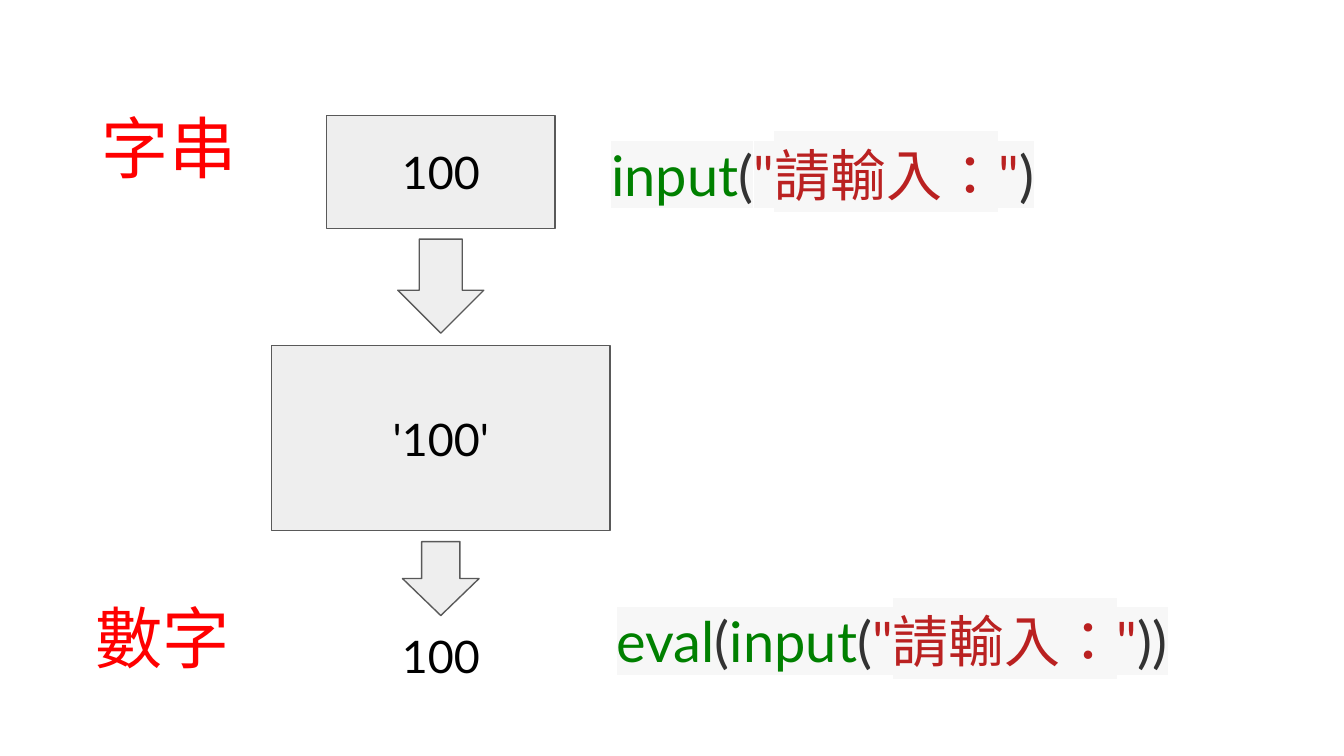
from dataclasses import dataclass

from lxml import etree
from pptx import Presentation
from pptx import util as u
from pptx.dml.color import RGBColor
from pptx.enum import lang, shapes, text
from pptx.oxml.ns import qn


@dataclass(frozen=True)
class Theme:
    font: str = "Lato"
    fill: str = "EEEEEE"
    outline: str = "595959"
    ink: str = "000000"
    label: str = "FF0000"
    builtin: str = "008000"
    bracket: str = "333333"
    string: str = "BA2121"
    code_back: str = "F7F7F7"
    value_size: int = 24
    code_size: int = 30
    label_size: int = 36


class Diagram:
    def __init__(self, slide, theme):
        self.slide, self.theme = slide, theme

    def _frame(self, shape, anchor):
        frame = shape.text_frame
        frame.word_wrap = True
        frame.vertical_anchor = anchor
        frame.margin_left = frame.margin_right = u.Inches(0.1)
        frame.margin_top = frame.margin_bottom = u.Inches(0.1)
        return frame.paragraphs[0]

    def _add_run(self, paragraph, wording):
        run = paragraph.add_run()
        run.text = wording
        run.font.language_id = lang.MSO_LANGUAGE_ID.TRADITIONAL_CHINESE
        return run

    def _write(self, paragraph, wording, size, color, align):
        self._add_run(paragraph, wording)
        paragraph.alignment = align
        paragraph.font.name = self.theme.font
        paragraph.font.size = u.Pt(size)
        paragraph.font.color.rgb = RGBColor.from_string(color)

    def _block(self, kind, center, top, width, height):
        block = self.slide.shapes.add_shape(
            kind, *map(u.Inches, (center - width / 2, top, width, height)))
        block.shadow.inherit = False
        block.fill.solid()
        block.fill.fore_color.rgb = RGBColor.from_string(self.theme.fill)
        block.line.color.rgb = RGBColor.from_string(self.theme.outline)
        block.line.width = u.Pt(0.75)
        return block

    def box(self, wording, center, top, width, height):
        block = self._block(shapes.MSO_SHAPE.RECTANGLE, center, top, width, height)
        self._write(self._frame(block, text.MSO_ANCHOR.MIDDLE), wording,
                    self.theme.value_size, self.theme.ink, text.PP_ALIGN.CENTER)

    def arrow(self, center, top, width, height):
        self._block(shapes.MSO_SHAPE.DOWN_ARROW, center, top, width, height)

    def _textbox(self, *place):
        box = self.slide.shapes.add_textbox(*map(u.Inches, place))
        return self._frame(box, text.MSO_ANCHOR.TOP)

    def label(self, wording, left, top, width, height):
        self._write(self._textbox(left, top, width, height), wording,
                    self.theme.label_size, self.theme.label, text.PP_ALIGN.LEFT)

    def value(self, wording, center, top, width, height):
        self._write(self._textbox(center - width / 2, top, width, height), wording,
                    self.theme.value_size, self.theme.ink, text.PP_ALIGN.CENTER)

    def code(self, tokens, left, top, width, height):
        paragraph = self._textbox(left, top, width, height)
        paragraph.line_spacing = 1.15
        paragraph.font.name = self.theme.font
        paragraph.font.size = u.Pt(self.theme.code_size)
        for wording, color in tokens:
            run = self._add_run(paragraph, wording)
            run.font.color.rgb = RGBColor.from_string(color)
            # The highlight follows the colour fill in the run properties
            highlight = etree.Element(qn("a:highlight"))
            etree.SubElement(highlight, qn("a:srgbClr"), val=self.theme.code_back)
            run._r.rPr.find(qn("a:solidFill")).addnext(highlight)


# Widescreen 16:9 slide
deck = Presentation()
deck.slide_width, deck.slide_height = u.Inches(10), u.Inches(10 * 9 / 16)
theme = Theme()
diagram = Diagram(deck.slides.add_slide(deck.slide_layouts[6]), theme)

# Conversion flow, centred on one axis
axis = 3.28
diagram.box("100", axis, 0.86, 1.7, 0.84)
diagram.arrow(axis, 1.78, 0.64, 0.7)
diagram.box("'100'", axis, 2.57, 2.52, 1.38)
diagram.arrow(axis, 4.03, 0.57, 0.55)
diagram.value("100", axis, 4.58, 1.45, 0.84)

# Data types
diagram.label("字串", 0.66, 0.69, 1.45, 1.01)
diagram.label("數字", 0.61, 4.34, 1.45, 0.84)

# Code for each type
input_call = [("input", theme.builtin), ("(", theme.bracket),
              ('"請輸入\uff1a"', theme.string)]
diagram.code(input_call + [(")", theme.bracket)], 4.45, 0.87, 3.94, 0.64)
diagram.code([("eval", theme.builtin), ("(", theme.bracket), *input_call,
              ("))", theme.bracket)], 4.49, 4.34, 5.14, 0.84)

deck.save("out.pptx")
